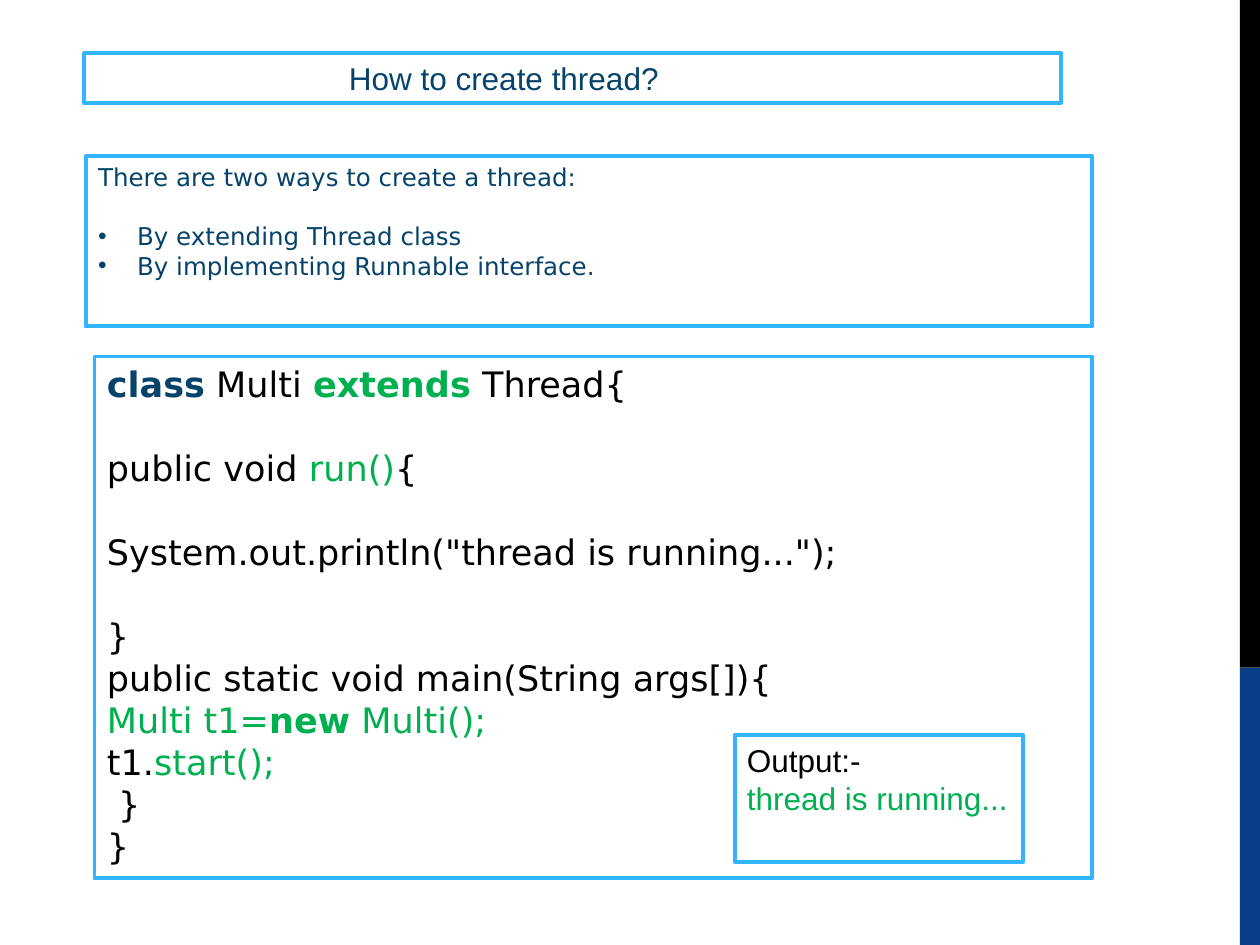
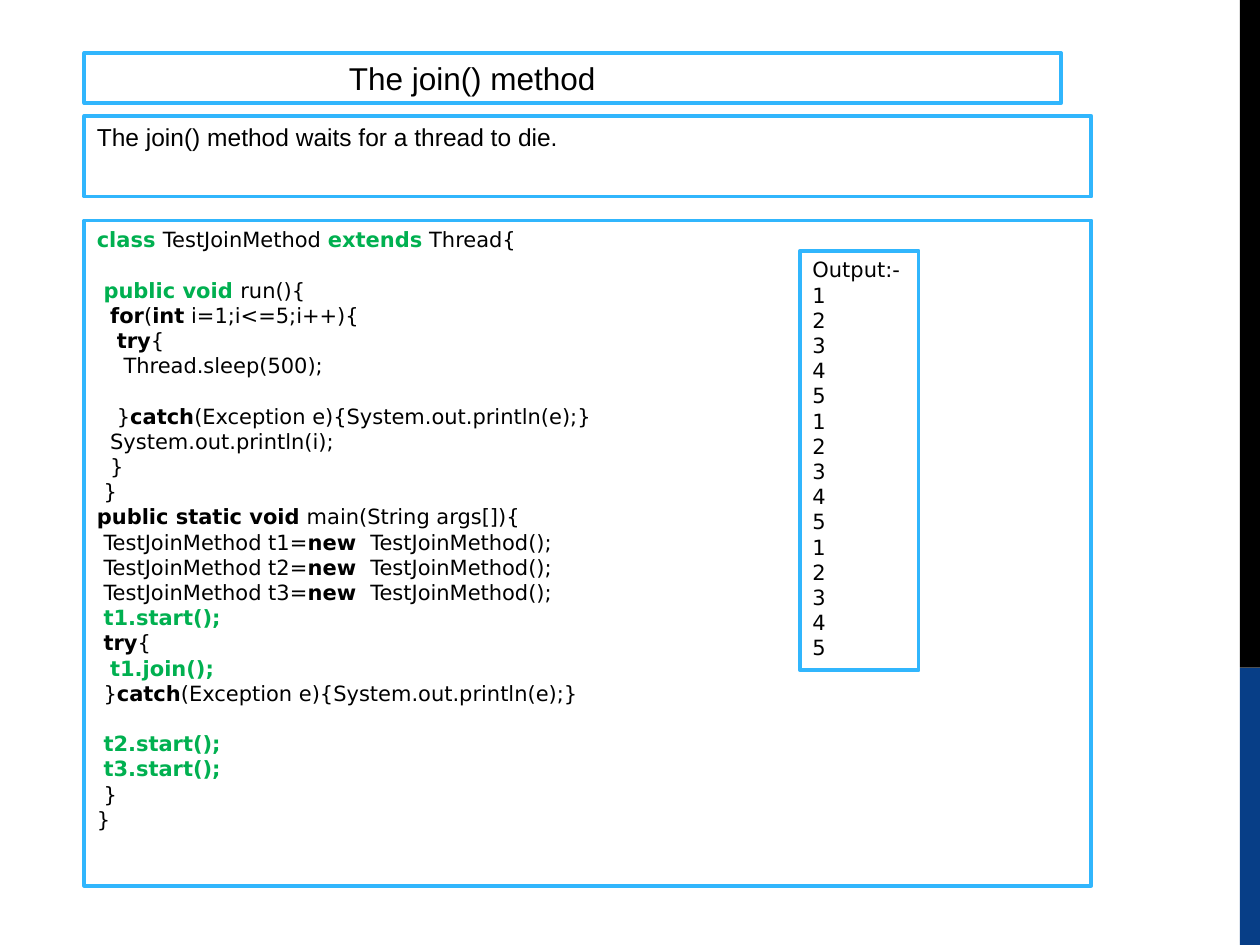
"""Build two slides on creating and joining threads."""
from dataclasses import dataclass, field

from lxml import etree
from pptx import Presentation
from pptx.dml.color import RGBColor
from pptx.enum.shapes import MSO_SHAPE
from pptx.enum.text import MSO_ANCHOR, MSO_AUTO_SIZE, PP_ALIGN
from pptx.oxml.ns import qn
from pptx.util import Inches, Pt

RECTANGLE = MSO_SHAPE.RECTANGLE
TOP = MSO_ANCHOR.TOP
NO_FIT = MSO_AUTO_SIZE.NONE
LEFT = PP_ALIGN.LEFT
BLANK_LAYOUT = 6


@dataclass
class Theme:
    white: str = "FFFFFF"
    black: str = "000000"
    band: str = "073E87"
    border: str = "31B6FD"
    navy: str = "06436B"
    green: str = "00B050"
    sans: str = "Arial"
    code: str = "DejaVu Sans"
    title_size: int = 18
    body_size: int = 14
    large_code: int = 20
    small_code: int = 12
    border_width: float = 2.25
    line_factor: float = 1.2
    space_width: float = 0.318
    styles: dict = field(default_factory=dict)

    def __post_init__(self):
        self.styles = {
            "plain": (self.black, False),
            "bold": (self.black, True),
            "green": (self.green, False),
            "green bold": (self.green, True),
            "navy": (self.navy, False),
            "navy bold": (self.navy, True),
        }


@dataclass
class Line:
    spans: tuple
    level: int = 0
    gap: int = 0
    margin: float = 0
    bullet: str = ""


def line(*spans, **options):
    return Line(spans, **options)


def apply(target, values):
    for name, value in values.items():
        setattr(target, name, value)


class SlideWriter:
    def __init__(self, deck, theme):
        self.deck = deck
        self.theme = theme
        self.page = None

    def new_page(self, title, style="plain"):
        self.page = self.deck.slides.add_slide(self.deck.slide_layouts[BLANK_LAYOUT])
        for placeholder in list(self.page.placeholders):
            placeholder.element.getparent().remove(placeholder.element)
        self.rectangle((9.84, 5.3, 0.16, 2.2), self.theme.band)
        self.rectangle((9.84, 0, 0.16, 5.3), self.theme.black)
        self.text_box((0.67, 0.42, 7.75, 0.4), [line((title, style), margin=2)],
                      self.theme.sans, self.theme.title_size)

    def rectangle(self, place, fill):
        box = self.page.shapes.add_shape(RECTANGLE, *map(Inches, place))
        box.shadow.inherit = False
        box.fill.solid()
        box.fill.fore_color.rgb = RGBColor.from_string(fill)
        box.line.fill.background()
        return box

    def text_box(self, place, lines, font, size):
        box = self.rectangle(place, self.theme.white)
        box.line.color.rgb = RGBColor.from_string(self.theme.border)
        box.line.width = Pt(self.theme.border_width)
        frame = box.text_frame
        apply(frame, {"word_wrap": True, "auto_size": NO_FIT,
                      "vertical_anchor": TOP, "margin_right": 0})
        for index, content in enumerate(lines):
            para = frame.add_paragraph() if index else frame.paragraphs[0]
            self.paragraph(para, content, font, size)

    def paragraph(self, para, content, font, size):
        leading = size * self.theme.line_factor
        apply(para, {"alignment": LEFT, "line_spacing": Pt(leading),
                     "space_before": Pt(0), "space_after": Pt(leading * content.gap)})
        margin = Inches(content.margin) + Pt(content.level * size * self.theme.space_width)
        properties = para._p.get_or_add_pPr()
        properties.set("marL", str(margin))
        properties.set("indent", str(-margin if content.bullet else 0))
        if content.bullet:
            etree.SubElement(properties, qn("a:buFont"), typeface=self.theme.sans)
            etree.SubElement(properties, qn("a:buChar"), char=content.bullet)
        for item in content.spans:
            text, style = (item, "plain") if isinstance(item, str) else item
            color, bold = self.theme.styles[style]
            span = para.add_run()
            span.text = text
            apply(span.font, {"name": font, "size": Pt(size), "bold": bold})
            span.font.color.rgb = RGBColor.from_string(color)


def build_creation_page(writer):
    theme = writer.theme
    writer.new_page("How to create thread?", "navy")
    ways = [line(("There are two ways to create a thread:", "navy"), gap=1)]
    ways += [line((text, "navy"), margin=0.31, bullet="•")
             for text in ("By extending Thread class", "By implementing Runnable interface.")]
    writer.text_box((0.68, 1.24, 7.99, 1.35), ways, theme.code, theme.body_size)
    writer.text_box((0.75, 2.83, 7.92, 4.14), [
        line(("class", "navy bold"), " Multi ", ("extends", "green bold"), " Thread{", gap=1),
        line("public void ", ("run()", "green"), "{", gap=1),
        line('System.out.println("thread is running...");', gap=1),
        line("}"),
        line("public static void main(String args[]){"),
        line(("Multi t1=", "green"), ("new", "green bold"), (" Multi();", "green")),
        line("t1.", ("start();", "green")),
        line("}", level=1),
        line("}"),
    ], theme.code, theme.large_code)
    writer.text_box((5.83, 5.83, 2.29, 1.01), [
        line("Output:-"), line(("thread is running...", "green")),
    ], theme.sans, theme.title_size)


def build_join_page(writer):
    theme = writer.theme
    handler = (("catch", "bold"), "(Exception e){System.out.println(e);}")
    attempt = (("try", "bold"), "{")
    creations = [line(f"TestJoinMethod t{number}=", ("new ", "bold"), " TestJoinMethod();", level=1)
                 for number in range(1, 4)]
    writer.new_page("The join() method")
    writer.text_box((0.67, 1.75, 7.99, 5.28), [
        line(("class ", "green bold"), "TestJoinMethod ", ("extends", "green bold"),
             " Thread{", gap=1),
        line(("public void ", "green bold"), "run(){", level=1),
        line(("for", "bold"), "(", ("int", "bold"), " i=1;i<=5;i++){", level=2),
        line(*attempt, level=3),
        line("Thread.sleep(500);", level=4, gap=1),
        line("}", *handler, level=3),
        line("System.out.println(i);", level=2),
        line("}", level=2),
        line("}", level=1),
        line(("public static void", "bold"), " main(String args[]){"),
        *creations,
        line(("t1.start();", "green bold"), level=1),
        line(*attempt, level=1),
        line(("t1.join();", "green bold"), level=2),
        line("}", *handler, level=1, gap=1),
        line(("t2.start();", "green bold"), level=1),
        line(("t3.start();", "green bold"), level=1),
        line("}", level=1),
        line("}"),
    ], theme.code, theme.small_code)
    counts = [line(str(number)) for number in range(1, 6)]
    writer.text_box((6.35, 1.99, 0.94, 3.33), [line("Output:-")] + counts * 3,
                    theme.code, theme.small_code)
    writer.text_box((0.67, 0.92, 7.99, 0.64),
                    [line("The join() method waits for a thread to die.")],
                    theme.sans, theme.body_size)


deck = Presentation()
apply(deck, {"slide_width": Inches(10), "slide_height": Inches(7.5)})
slide_writer = SlideWriter(deck, Theme())
build_creation_page(slide_writer)
build_join_page(slide_writer)
deck.save("out.pptx")
